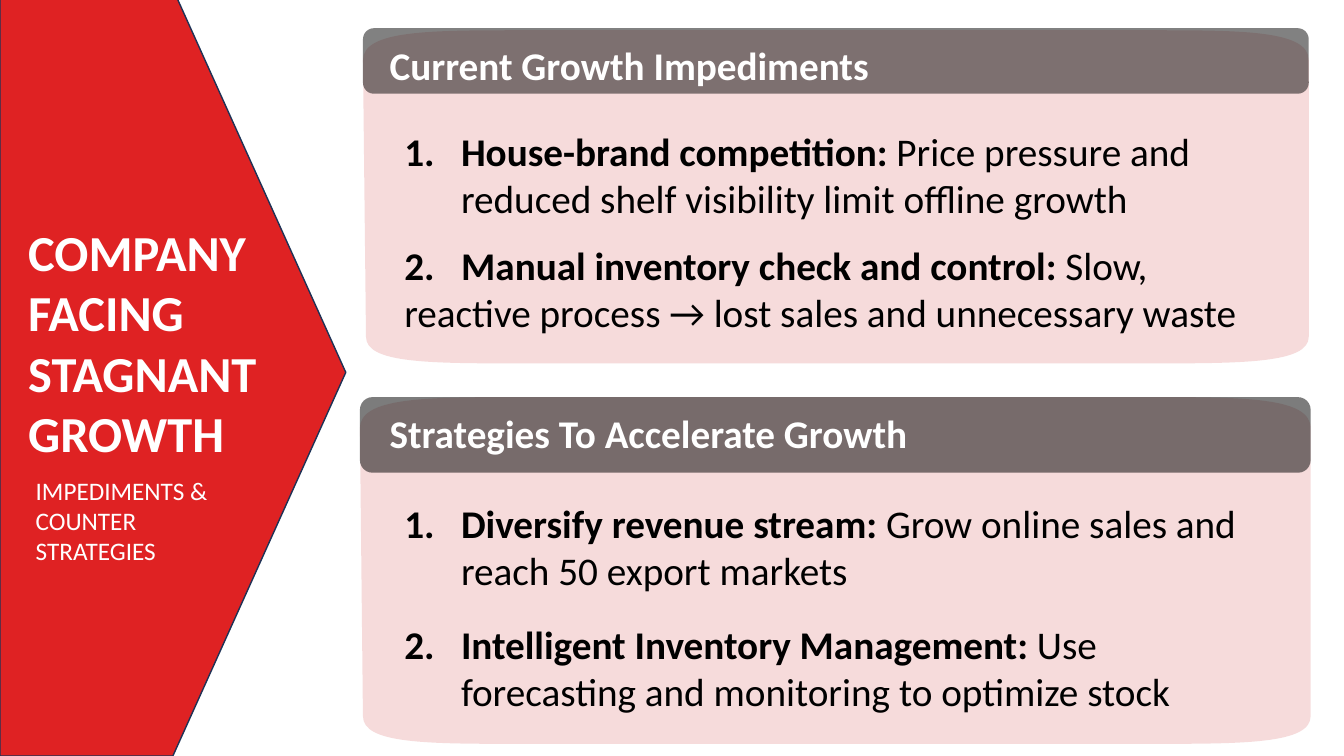
from lxml import etree
from pptx import Presentation
from pptx.dml.color import RGBColor
from pptx.enum.shapes import MSO_SHAPE
from pptx.enum.text import MSO_ANCHOR, MSO_AUTO_SIZE, PP_ALIGN
from pptx.oxml.ns import qn
from pptx.util import Inches, Pt

PENTAGON, ROUNDED = MSO_SHAPE.PENTAGON, MSO_SHAPE.ROUNDED_RECTANGLE
TOP, MIDDLE = MSO_ANCHOR.TOP, MSO_ANCHOR.MIDDLE
NO_AUTOFIT, LEFT = MSO_AUTO_SIZE.NONE, PP_ALIGN.LEFT

RED = RGBColor(0xDF, 0x22, 0x23)
NAVY = RGBColor(0x1E, 0x32, 0x56)
DARK_RED = RGBColor(0xC0, 0x00, 0x00)
CHARCOAL = RGBColor(0x18, 0x17, 0x17)
NEAR_BLACK = RGBColor(0x0D, 0x0D, 0x0D)
WHITE = RGBColor(0xFF, 0xFF, 0xFF)
BLACK = RGBColor(0x00, 0x00, 0x00)

FONT = "Calibri"
TWO_CONTENT = 3
INDENT = Pt(40.5)

# Each panel corner: four Bezier points as shares of the panel's size
SLANT = 0.03 / 9.4
CORNERS = [
    [(0, 0.09), (0, 0), (0.07, 0), (0.17, 0)],
    [(0.83, 0), (0.93, 0), (1, 0), (1, 0.09)],
    [(1, 0.92), (1, 1), (0.93, 1), (0.83, 1)],
    [(0.17, 1), (0.07, 1), (SLANT, 1), (SLANT, 0.92)],
]

# Areas are left, top, width, height in percent of the slide
PANELS = [
    {
        "heading": "Current Growth Impediments",
        "body": (27.01, 4, 70.37, 44.07),
        "bar": (27.01, 3.73, 70.37, 8.67),
        "bar color": CHARCOAL,
        "label": (28.25, 4.8, 63, 7.6),
        "list": (29.33, 15.8, 64.97, 29.6),
        "gap": 14.2,
        "items": [
            ("House-brand competition:",
             " Price pressure and reduced shelf visibility limit offline growth", True),
            ("Manual inventory check and control: ",
             "Slow, reactive process → lost sales and unnecessary waste", False),
        ],
    },
    {
        "heading": "Strategies To Accelerate Growth",
        "body": (26.78, 52.53, 70.74, 45.87),
        "bar": (26.78, 52.53, 70.74, 10),
        "bar color": NEAR_BLACK,
        "label": (28.25, 53.47, 63.4, 8.27),
        "list": (29.33, 65.2, 64.97, 30.13),
        "gap": 19.5,
        "items": [
            ("Diversify revenue stream:",
             " Grow online sales and reach 50 export markets", True),
            ("Intelligent Inventory Management:",
             " Use forecasting and monitoring to optimize stock", True),
        ],
    },
]

deck = Presentation()
deck.slide_width, deck.slide_height = Inches(13.33), Inches(7.5)
page = deck.slides.add_slide(deck.slide_layouts[TWO_CONTENT])


def area(left, top, width, height):
    """Turn percentages of the slide into lengths."""
    across, down = deck.slide_width / 100, deck.slide_height / 100
    return [round(left * across), round(top * down),
            round(width * across), round(height * down)]


def add_span(para, text, size, color, bold):
    span = para.add_run()
    span.text = text
    span.font.name, span.font.size = FONT, Pt(size)
    span.font.bold = bold
    span.font.color.rgb = color
    return span


# Red arrow on the left
arrow = page.shapes.add_shape(PENTAGON, *area(0, -1.47, 25.73, 101.47))
arrow.shadow.inherit = False
arrow.fill.solid()
arrow.fill.fore_color.rgb = RED
arrow.line.color.rgb = NAVY
arrow.line.width = Pt(1)

# Translucent panels with their heading bars
for panel in PANELS:
    left, top, width, height = area(*panel["body"])
    outline = [(round(left + x * width), round(top + y * height))
               for corner in CORNERS for x, y in corner]
    builder = page.shapes.build_freeform(*outline[0])
    builder.add_line_segments(outline[1:], close=True)
    body = builder.convert_to_shape()
    # Bend the three segments of every corner into one curve
    segments = list(body.element.iter(qn("a:lnTo")))
    for start in range(0, len(segments), 4):
        bend = etree.Element(qn("a:cubicBezTo"))
        segments[start].addprevious(bend)
        for segment in segments[start:start + 3]:
            bend.append(segment[0])
            segment.getparent().remove(segment)
    bar = page.shapes.add_shape(ROUNDED, *area(*panel["bar"]))
    for shape, color, opacity in ((body, DARK_RED, 14), (bar, panel["bar color"], 54)):
        shape.shadow.inherit = False
        shape.line.fill.background()
        shape.fill.solid()
        shape.fill.fore_color.rgb = color
        tint = shape.element.spPr.find(qn("a:solidFill"))[0]
        etree.SubElement(tint, qn("a:alpha"), val=str(opacity * 1000))

# Panel headings and the subtitle
labels = [(panel["heading"], panel["label"], 28, True) for panel in PANELS]
labels.append(("IMPEDIMENTS & COUNTER STRATEGIES", (1.92, 62.2, 15.6, 13.47), 18, False))
for text, place, size, bold in labels:
    box = page.shapes.add_textbox(*area(*place))
    box.text_frame.word_wrap = True
    add_span(box.text_frame.paragraphs[0], text, size, WHITE, bold)

# Title and lists, brought in front of the panels
title, *lists = list(page.placeholders)
places = [(1.35, 28.53, 22.5, 33.6)] + [panel["list"] for panel in PANELS]
for holder, place in zip([title] + lists, places):
    holder.left, holder.top, holder.width, holder.height = area(*place)
    holder.text_frame.word_wrap = True
    holder.text_frame.auto_size = NO_AUTOFIT
    holder.text_frame.vertical_anchor = TOP if holder is title else MIDDLE
    page.shapes.element.append(holder.element)

for index, text in enumerate(("COMPANY FACING STAGNANT", "GROWTH")):
    frame = title.text_frame
    para = frame.add_paragraph() if index else frame.paragraphs[0]
    para.alignment = LEFT
    add_span(para, text, 36, WHITE, True)

for holder, panel in zip(lists, PANELS):
    frame = holder.text_frame
    for index, (lead, detail, hanging) in enumerate(panel["items"]):
        para = frame.add_paragraph() if index else frame.paragraphs[0]
        para.space_before = Pt(panel["gap"] if index else 0)
        layout = para._p.get_or_add_pPr()
        layout.set("marL", str(INDENT if hanging else 0))
        layout.set("indent", str(-INDENT if hanging else 0))
        if hanging:
            etree.SubElement(layout, qn("a:buFont"), typeface="+mj-lt")
            etree.SubElement(layout, qn("a:buAutoNum"), type="arabicPeriod",
                             startAt=str(index + 1))
        else:
            etree.SubElement(layout, qn("a:buNone"))
            add_span(para, f"{index + 1}.", 28, BLACK, True)
            # One widened space lines the text up with the hanging items
            space = add_span(para, " ", 28, BLACK, True)
            space.font._element.set("spc", "1270")
        add_span(para, lead, 28, BLACK, True)
        add_span(para, detail, 28, BLACK, False)

deck.save("out.pptx")
